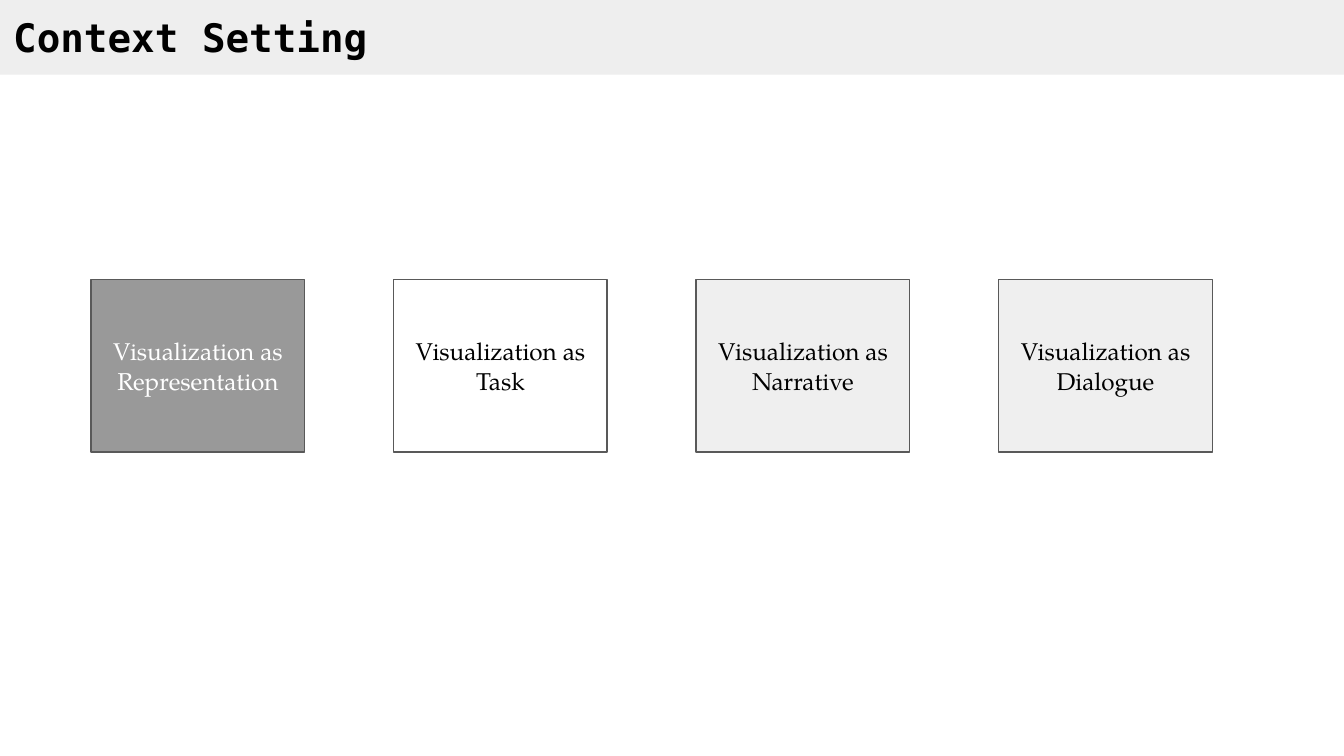
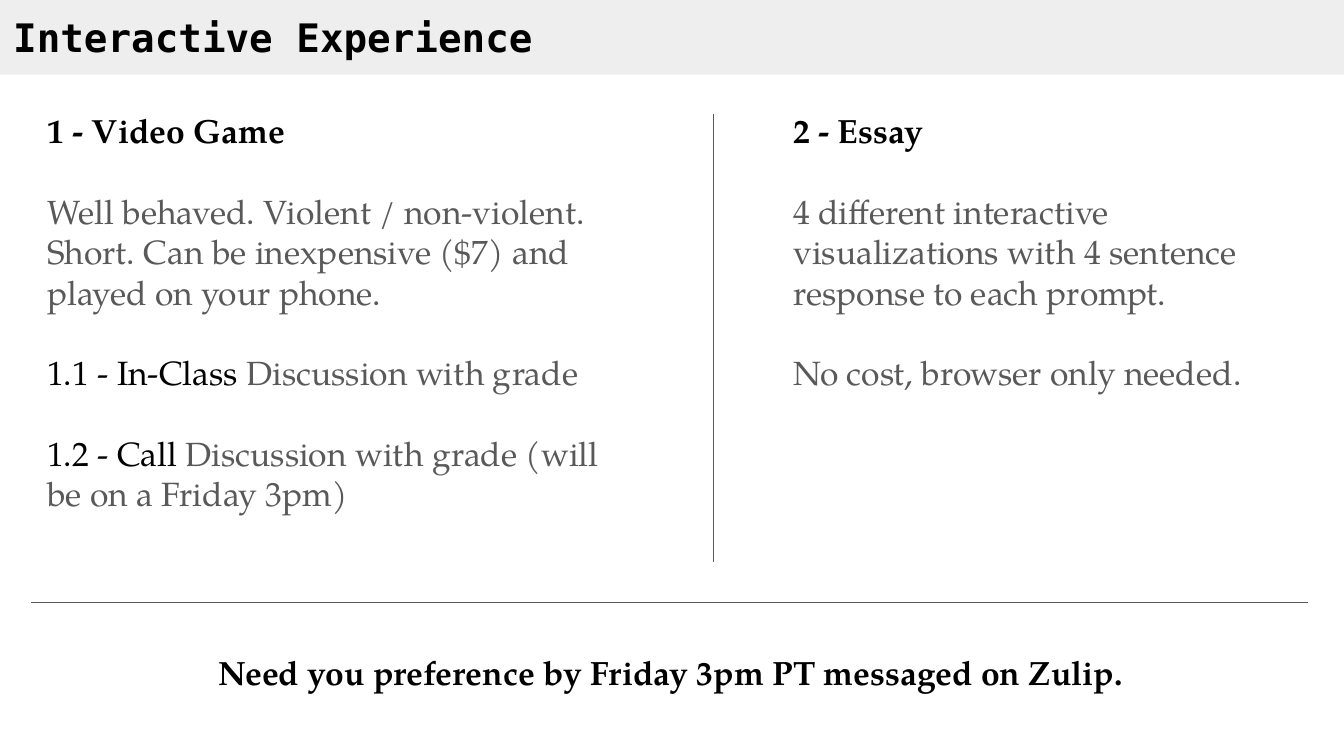
import pptx
import pptx.util
import pptx.dml.color
import pptx.enum.shapes
import pptx.enum.text
import pptx.oxml
import pptx.oxml.ns

Pt = pptx.util.Pt
RGBColor = pptx.dml.color.RGBColor
RECT = pptx.enum.shapes.MSO_SHAPE.RECTANGLE
LINE = pptx.enum.shapes.MSO_CONNECTOR.STRAIGHT
LEFT = pptx.enum.text.PP_ALIGN.LEFT
MID = pptx.enum.text.PP_ALIGN.CENTER
BLACK = RGBColor(0x00, 0x00, 0x00)
WHITE = RGBColor(0xFF, 0xFF, 0xFF)
GREY = RGBColor(0x59, 0x59, 0x59)
DARK = RGBColor(0x99, 0x99, 0x99)
PALE = RGBColor(0xEF, 0xEF, 0xEF)
BAND = RGBColor(0xEE, 0xEE, 0xEE)
MONO = "DejaVu Sans Mono"
SERIF = "TeX Gyre Pagella"

deck = pptx.Presentation()
deck.slide_width = pptx.util.Inches(10)
deck.slide_height = deck.slide_width * 9 // 16


def place(*spots):
    sides = (deck.slide_width, deck.slide_height)
    return [round(spot * sides[i % 2] / 100) for i, spot in enumerate(spots)]


def write(shape, paras, size, font=SERIF, align=LEFT):
    frame = shape.text_frame
    frame.word_wrap = True
    frame.margin_left = frame.margin_right = pptx.util.Inches(0.1)
    frame.margin_top = frame.margin_bottom = pptx.util.Inches(0.1)
    for i, (bold, parts) in enumerate(paras):
        para = frame.add_paragraph() if i else frame.paragraphs[0]
        para.alignment = align
        if i:
            para.space_before = Pt(21.6)
        base = parts[-1][1]
        para.font.name = font
        para.font.size = Pt(size)
        para.font.bold = bold
        para.font.color.rgb = base
        for text, tint in parts:
            run = para.add_run()
            run.text = text
            if tint != base:
                run.font.color.rgb = tint


slides = []
for title in ("Context Setting", "Interactive Experience"):
    slide = deck.slides.add_slide(deck.slide_layouts[6])
    band = slide.shapes.add_shape(RECT, *place(-0.1, 0, 100.2, 9.9))
    band.shadow.inherit = False
    band.fill.solid()
    band.fill.fore_color.rgb = BAND
    band.line.fill.background()
    head = slide.shapes.add_textbox(*place(0, 0, 98.6, 9.9))
    write(head, [(True, [(title, BLACK)])], 21, MONO)
    slides.append(slide)

first, second = slides

cards = [
    ("Representation", DARK, WHITE),
    ("Task", WHITE, BLACK),
    ("Narrative", PALE, BLACK),
    ("Dialogue", PALE, BLACK),
]
for i, (role, fill, ink) in enumerate(cards):
    card = first.shapes.add_shape(RECT, *place(6.77 + 22.51 * i, 37, 15.9, 22.8))
    card.shadow.inherit = False
    card.fill.solid()
    card.fill.fore_color.rgb = fill
    card.line.color.rgb = GREY
    card.line.width = Pt(0.75)
    card.text_frame.vertical_anchor = pptx.enum.text.MSO_ANCHOR.MIDDLE
    write(card, [(False, [("Visualization as " + role, ink)])], 13, align=MID)

for ends in ((53.1, 15.1, 53.1, 74.3), (2.3, 79.7, 97.3, 79.7)):
    rule = second.shapes.add_connector(LINE, *place(*ends))
    rule.line.color.rgb = GREY
    rule.line.width = Pt(0.75)
    rule._element.spPr.append(
        pptx.oxml.parse_xml("<a:effectLst %s/>" % pptx.oxml.ns.nsdecls("a"))
    )

game = [
    (True, [("1 - Video Game", BLACK)]),
    (False, [("Well behaved. Violent / non-violent. Short. Can be inexpensive ($7) "
              "and played on your phone.", GREY)]),
    (False, [("1.1 - In-Class", BLACK), (" Discussion with grade", GREY)]),
    (False, [("1.2 - Call", BLACK),
             (" Discussion with grade (will be on a Friday 3pm)", GREY)]),
]
essay = [
    (True, [("2 - Essay", BLACK)]),
    (False, [("4 different interactive visualizations with 4 sentence response "
              "to each prompt.", GREY)]),
    (False, [("No cost, browser only needed.", GREY)]),
]
due = [(True, [("Need you preference by Friday 3pm PT messaged on Zulip.", BLACK)])]

for spot, paras, align in (
    ((2.53, 12.8, 45.6, 63.7), game, LEFT),
    ((58.04, 12.8, 39.3, 41.8), essay, LEFT),
    ((2.3, 84.5, 95.2, 10), due, MID),
):
    write(second.shapes.add_textbox(*place(*spot)), paras, 18, align=align)

deck.save("out.pptx")
